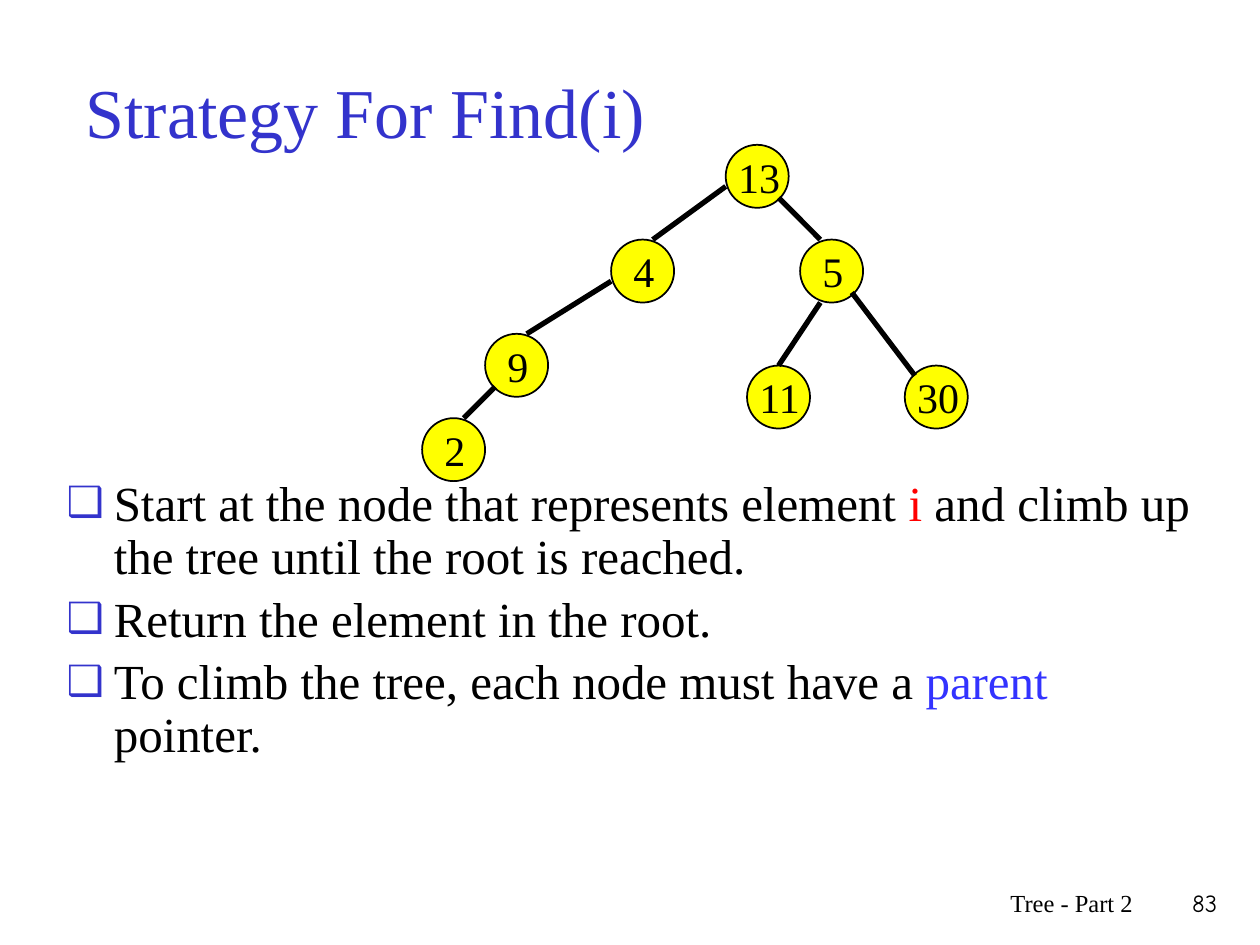
from lxml import etree
from pptx import Presentation
from pptx import util as u
from pptx.dml.color import RGBColor
from pptx.enum import shapes, text
from pptx.oxml import ns

BLACK = RGBColor(0x00, 0x00, 0x00)
TITLE_BLUE = RGBColor(0x33, 0x33, 0xCC)
TERM_BLUE = RGBColor(0x33, 0x33, 0xFF)
RED = RGBColor(0xFF, 0x00, 0x00)
YELLOW = RGBColor(0xFF, 0xFF, 0x00)
SERIF = "Times New Roman"
COMIC = "Comic Neue"

NODE_SIZE = 1.27
# Node value: left and top inside the tree box, label inset, label width (cm)
NODES = {
    "13": (6.12, 0, 0, 1.47),
    "4": (3.81, 1.91, 0.2, 0.85),
    "5": (7.62, 1.91, 0.2, 0.85),
    "9": (1.27, 3.81, 0.2, 0.85),
    "11": (6.55, 4.45, 0, 1.9),
    "30": (9.73, 4.45, 0, 2.1),
    "2": (0, 5.51, 0.2, 0.85),
}
# Parent, point on it, child, point on it (points as fractions of a node)
EDGES = [
    ("13", (0, 0.66), "4", (0.66, 0)),
    ("4", (0, 0.66), "9", (0.66, 0)),
    ("13", (0.84, 0.84), "5", (0.32, 0)),
    ("9", (0.16, 0.84), "2", (0.66, 0)),
    ("5", (0.32, 1), "11", (0.5, 0)),
    ("5", (0.82, 0.84), "30", (0.16, 0.16)),
]
POINTS = [
    [("Start at the node that represents element", BLACK), (" i ", RED),
     ("and climb up the tree until the root is reached.", BLACK)],
    [("Return the element in the root.", BLACK)],
    [("To climb the tree, each node must have a ", BLACK),
     ("parent ", TERM_BLUE), ("pointer.", BLACK)],
]


def style(span, size, color=BLACK, font=SERIF):
    span.font.size = u.Pt(size)
    span.font.name = font
    span.font.color.rgb = color


def place(shape, box):
    shape.left, shape.top, shape.width, shape.height = map(u.Cm, box)


def add_label(page, box, words, size, font=SERIF, align=text.PP_ALIGN.LEFT):
    frame = page.shapes.add_textbox(*map(u.Cm, box)).text_frame
    frame.word_wrap = True
    frame.text = words
    para = frame.paragraphs[0]
    para.alignment = align
    style(para.runs[0], size, font=font)


def add_title(page, box):
    title = page.shapes.title
    place(title, box)
    title.text_frame.text = "Strategy For Find(i)"
    title.text_frame.vertical_anchor = text.MSO_ANCHOR.MIDDLE
    para = title.text_frame.paragraphs[0]
    para.alignment = text.PP_ALIGN.LEFT
    style(para.runs[0], 40, TITLE_BLUE)


def set_bullet(para):
    props = para._p.get_or_add_pPr()
    props.set("marL", str(u.Cm(0.95)))
    props.set("indent", str(-u.Cm(0.95)))
    color = etree.SubElement(props, ns.qn("a:buClr"))
    etree.SubElement(color, ns.qn("a:srgbClr"), val=str(TITLE_BLUE))
    etree.SubElement(props, ns.qn("a:buSzPct"), val="85000")
    etree.SubElement(props, ns.qn("a:buChar"), char="❑")


def add_points(page, box):
    body = page.placeholders[1]
    place(body, box)
    frame = body.text_frame
    for index, parts in enumerate(POINTS):
        para = frame.add_paragraph() if index else frame.paragraphs[0]
        set_bullet(para)
        para.line_spacing = 0.9
        for words, color in parts:
            span = para.add_run()
            span.text = words
            style(span, 28, color)


def add_tree(page, box):
    left, top = box[:2]

    def point(node, fraction):
        x, y = NODES[node][:2]
        return (u.Cm(left + x + fraction[0] * NODE_SIZE),
                u.Cm(top + y + fraction[1] * NODE_SIZE))

    # Nodes with their values
    for value, (x, y, inset, width) in NODES.items():
        circle = page.shapes.add_shape(
            shapes.MSO_SHAPE.OVAL, *point(value, (0, 0)),
            u.Cm(NODE_SIZE), u.Cm(NODE_SIZE))
        circle.shadow.inherit = False
        circle.fill.solid()
        circle.fill.fore_color.rgb = YELLOW
        circle.line.color.rgb = BLACK
        circle.line.width = u.Pt(1)
        add_label(page, (left + x + inset, top + y, width, NODE_SIZE), value, 24)

    # Edges
    for parent, start, child, end in EDGES:
        edge = page.shapes.add_connector(
            shapes.MSO_CONNECTOR.STRAIGHT, *point(parent, start), *point(child, end))
        edge.line.color.rgb = BLACK
        edge.line.width = u.Pt(3)
        etree.SubElement(edge._element.spPr, ns.qn("a:effectLst"))


def add_footer(page, box):
    left, top, width, height = box
    number_width = 1.73
    right = text.PP_ALIGN.RIGHT
    add_label(page, (left, top, 8.05, height), "Tree - Part 2", 14, align=right)
    add_label(page, (left + width - number_width, top, number_width, height),
              "83", 14, COMIC, right)


def main():
    deck = Presentation()
    deck.slide_width, deck.slide_height = u.Cm(25.4), u.Cm(19.05)
    page = deck.slides.add_slide(deck.slide_layouts[1])
    add_title(page, (1.47, 0.64, 21.59, 3.18))
    add_points(page, (1.09, 9.53, 23.29, 7.62))
    add_tree(page, (8.51, 2.92, 11, 6.78))
    add_footer(page, (15.04, 17.78, 9.75, 1.27))
    deck.save("out.pptx")


if __name__ == "__main__":
    main()
